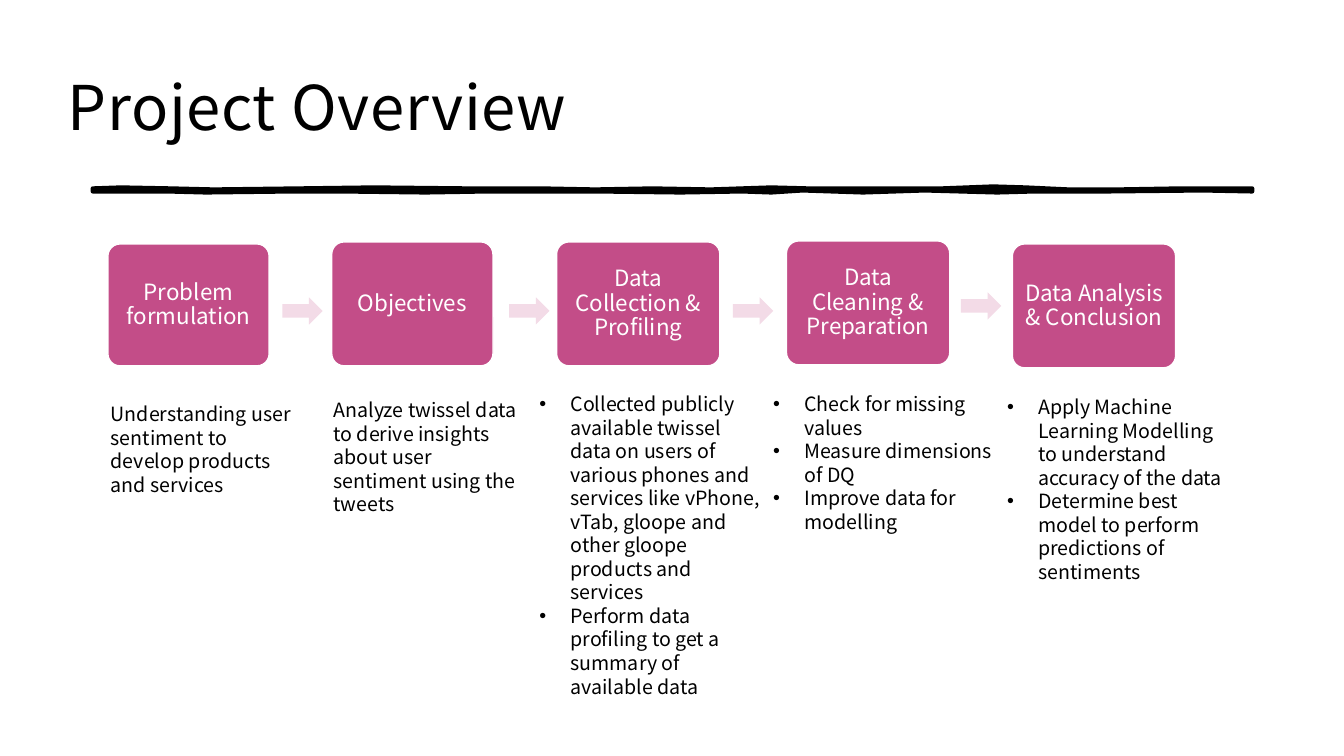
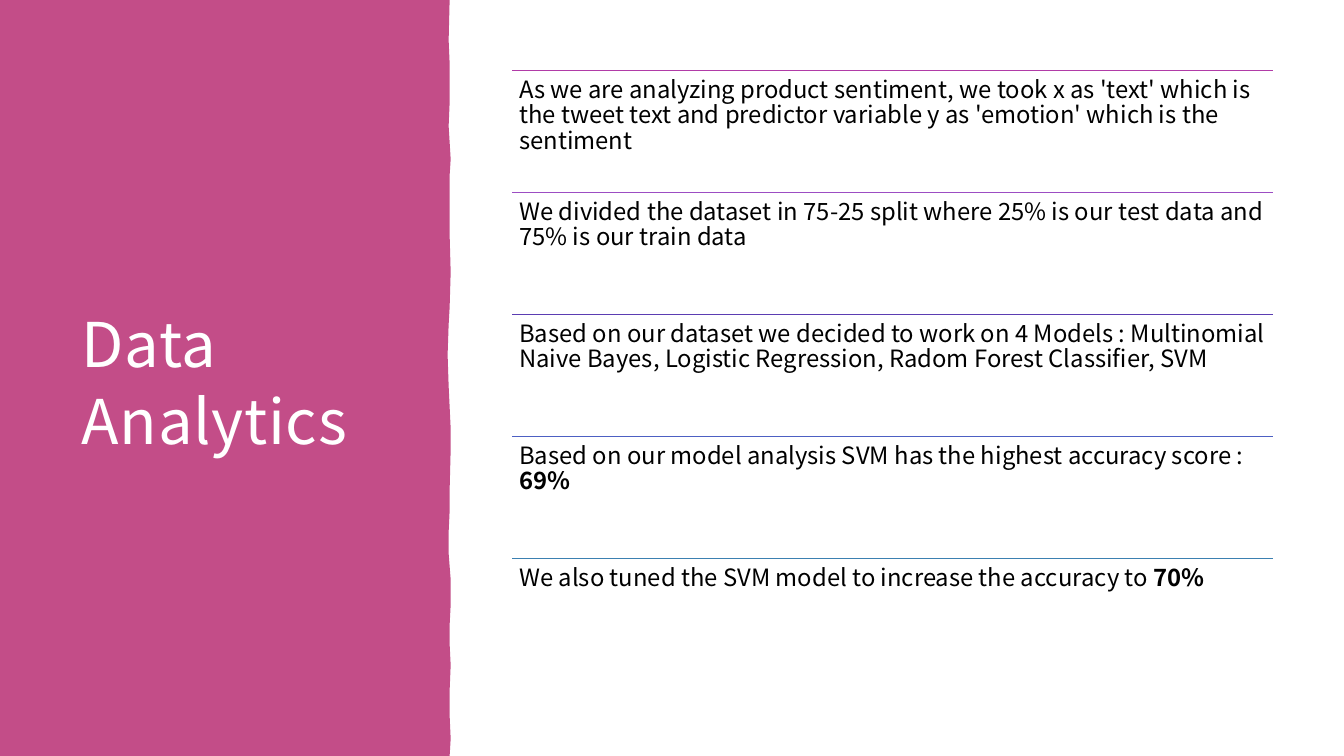
from pptx import Presentation
from pptx.dml.color import RGBColor
from pptx.enum.shapes import MSO_CONNECTOR, MSO_SHAPE
from pptx.enum.text import MSO_ANCHOR, PP_ALIGN
from pptx.oxml.ns import qn
from pptx.util import Pt
from lxml import etree

PX = 9144  # 100 px to the inch
WIDTH, HEIGHT = 1333, 750
FONT = "Noto Sans CJK JP"
COLORS = {"ink": "000000", "paper": "FFFFFF", "brand": "C34D88", "arrow": "F3DBE7"}
ROUND, ARROW = MSO_SHAPE.ROUNDED_RECTANGLE, MSO_SHAPE.RIGHT_ARROW
STRAIGHT = MSO_CONNECTOR.STRAIGHT
TOP, MIDDLE = MSO_ANCHOR.TOP, MSO_ANCHOR.MIDDLE
LEFT, CENTER = PP_ALIGN.LEFT, PP_ALIGN.CENTER

TITLE_INSETS = (12, 12, 12, 10)
TIGHT_INSETS = (7, 7, 7, 7)
PLAIN_INSETS = (10, 5, 10, 5)

# Project steps: label, box, place of the details, detail paragraphs
STEPS = [
    ("Problem formulation", (107, 242, 160, 121), (100, 394, 204, 104),
     ["Understanding user sentiment to develop products and services"]),
    ("Objectives", (329, 240, 160, 123), (321, 390, 204, 128),
     ["Analyze twissel data to derive insights about user sentiment using the tweets"]),
    ("Data Collection & Profiling", (552, 240, 162, 123), (525, 384, 241, 340),
     ["Collected publicly available twissel data on users of various phones and "
      "services like vPhone, vTab, gloope and other gloope products and services",
      "Perform data profiling to get a summary of available data"]),
    ("Data Cleaning & Preparation", (780, 239, 162, 123), (757, 384, 241, 222),
     ["Check for missing values", "Measure dimensions of DQ",
      "Improve data for modelling"]),
    ("Data Analysis & Conclusion", (1004, 242, 162, 123), (989, 387, 241, 222),
     ["Apply Machine Learning Modelling to understand accuracy of the data",
      "Determine best model to perform predictions of sentiments"]),
]
ARROWS = [(280, 295), (505, 295), (727, 295), (953, 290)]

# Analysis notes: rule colour, text, bold ending
NOTES = [
    ("B13BA7", "As we are analyzing product sentiment, we took x as 'text' which is "
     "the tweet text and predictor variable y as 'emotion' which is the sentiment", ""),
    ("9C4DC3", "We divided the dataset in 75-25 split where 25% is our test data and "
     "75% is our train data", ""),
    ("5B3DB2", "Based on our dataset we decided to work on 4 Models : Multinomial "
     "Naive Bayes, Logistic Regression, Radom Forest Classifier, SVM", ""),
    ("4D60C3", "Based on our model analysis SVM has the highest accuracy score : ", "69%"),
    ("3B80B1", "We also tuned the SVM model to increase the accuracy to", " 70%"),
]
NOTE_LEFT, NOTE_TOP, NOTE_WIDTH, NOTE_STEP = 508, 70, 755, 121

# Hand-drawn outlines: upper and lower edge of the brush rule, edge of the panel
BRUSH_UPPER = [(92, 187), (120, 186), (170, 187), (212, 188), (296, 187), (371, 186),
               (465, 187), (537, 187), (590, 188), (647, 187), (705, 188), (765, 186),
               (802, 187), (862, 187), (934, 187), (985, 185), (1017, 186),
               (1060, 188), (1109, 188), (1170, 187), (1242, 187)]
BRUSH_LOWER = [(1242, 190), (1193, 189), (1098, 190), (1026, 190), (989, 191),
               (917, 189), (856, 191), (796, 189), (765, 191), (736, 190), (675, 191),
               (592, 190), (520, 190), (483, 190), (422, 191), (339, 190), (290, 190),
               (204, 191), (166, 190), (92, 190)]
PANEL_EDGE = [(446, 0), (445, 40), (446, 63), (446, 102), (445, 125), (446, 141),
              (447, 158), (446, 174), (446, 205), (446, 233), (447, 270), (446, 305),
              (445, 322), (444, 352), (445, 383), (447, 425), (447, 446), (446, 486),
              (446, 507), (445, 528), (445, 549), (447, 575), (447, 600), (446, 620),
              (446, 639), (447, 660), (446, 685), (446, 710), (447, 733), (446, 750)]


def color(value):
    return RGBColor.from_string(COLORS.get(value, value))


def emu(values):
    return [v * PX for v in values]


def paint(shape, fill, line=None, weight=1):
    shape.shadow.inherit = False
    shape.fill.solid()
    shape.fill.fore_color.rgb = color(fill)
    if line:
        shape.line.color.rgb = color(line)
        shape.line.width = Pt(weight)
    else:
        shape.line.fill.background()


def write(shape, paragraphs, size, ink="ink", insets=PLAIN_INSETS, anchor=TOP,
          align=LEFT, spacing=1.0):
    """Fill a shape with paragraphs, each a list of (text, bold) runs."""
    tf = shape.text_frame
    tf.word_wrap = True
    tf.vertical_anchor = anchor
    tf.margin_left, tf.margin_top, tf.margin_right, tf.margin_bottom = emu(insets)
    for i, runs in enumerate(paragraphs):
        p = tf.add_paragraph() if i else tf.paragraphs[0]
        p.alignment = align
        p.line_spacing = spacing
        for text, bold in runs:
            r = p.add_run()
            r.text = text
            r.font.name, r.font.size, r.font.bold = FONT, Pt(size), bold
            r.font.color.rgb = color(ink)
    return tf


def add_text(s, box, paragraphs, size, **style):
    return write(s.shapes.add_textbox(*emu(box)), paragraphs, size, **style)


def add_title(s, text, box, ink):
    tf = add_text(s, box, [[(text, False)]], 44, ink=ink, insets=TITLE_INSETS,
                  anchor=MIDDLE, spacing=1.05)
    tf.paragraphs[0].runs[0].font._element.set("spc", "50")


def add_outline(s, points, fill, line=None, weight=1):
    builder = s.shapes.build_freeform(*points[0], scale=PX)
    builder.add_line_segments(points[1:], close=True)
    paint(builder.convert_to_shape(), fill, line, weight)


def add_bullets(tf, indent=31):
    for p in tf.paragraphs:
        pPr = p._p.get_or_add_pPr()
        pPr.set("marL", str(indent * PX))
        pPr.set("indent", str(-indent * PX))
        etree.SubElement(pPr, qn("a:buFont")).set("typeface", "Arial")
        etree.SubElement(pPr, qn("a:buChar")).set("char", "•")


def add_rule(s, x, y, width, ink):
    rule = s.shapes.add_connector(STRAIGHT, *emu((x, y, x + width, y)))
    rule.line.color.rgb = color(ink)
    rule.line.width = Pt(1)
    etree.SubElement(rule._element.spPr, qn("a:effectLst"))


def build_overview(s):
    add_outline(s, BRUSH_UPPER + BRUSH_LOWER, "ink", "ink", 3)
    add_title(s, "Project Overview", (55, 40, 1186, 124), "ink")
    # Step boxes with their details
    for label, box, place, details in STEPS:
        step = s.shapes.add_shape(ROUND, *emu(box))
        step.adjustments[0] = 0.1
        paint(step, "brand", "paper")
        write(step, [[(label, False)]], 16, ink="paper", insets=TIGHT_INSETS,
              anchor=MIDDLE, align=CENTER, spacing=0.9)
        tf = add_text(s, place, [[(d, False)] for d in details], 14)
        if len(details) > 1:
            add_bullets(tf)
    # Arrows between the steps
    for x, y in ARROWS:
        paint(s.shapes.add_shape(ARROW, *emu((x, y, 40, 27))), "arrow")


def build_analytics(s):
    add_outline(s, [(0, 0)] + PANEL_EDGE + [(0, HEIGHT)], "brand")
    add_title(s, "Data Analytics", (69, 70, 339, 611), "paper")
    # Ruled notes
    for i, (ink, text, ending) in enumerate(NOTES):
        y = NOTE_TOP + i * NOTE_STEP
        add_rule(s, NOTE_LEFT, y, NOTE_WIDTH, ink)
        runs = [(text, False)] + ([(ending, True)] if ending else [])
        add_text(s, (NOTE_LEFT, y, NOTE_WIDTH, NOTE_STEP), [runs], 17,
                 insets=TIGHT_INSETS, spacing=0.9)


def main():
    prs = Presentation()
    prs.slide_width, prs.slide_height = emu((WIDTH, HEIGHT))
    for build in (build_overview, build_analytics):
        build(prs.slides.add_slide(prs.slide_layouts[6]))
    prs.save("out.pptx")


if __name__ == "__main__":
    main()
